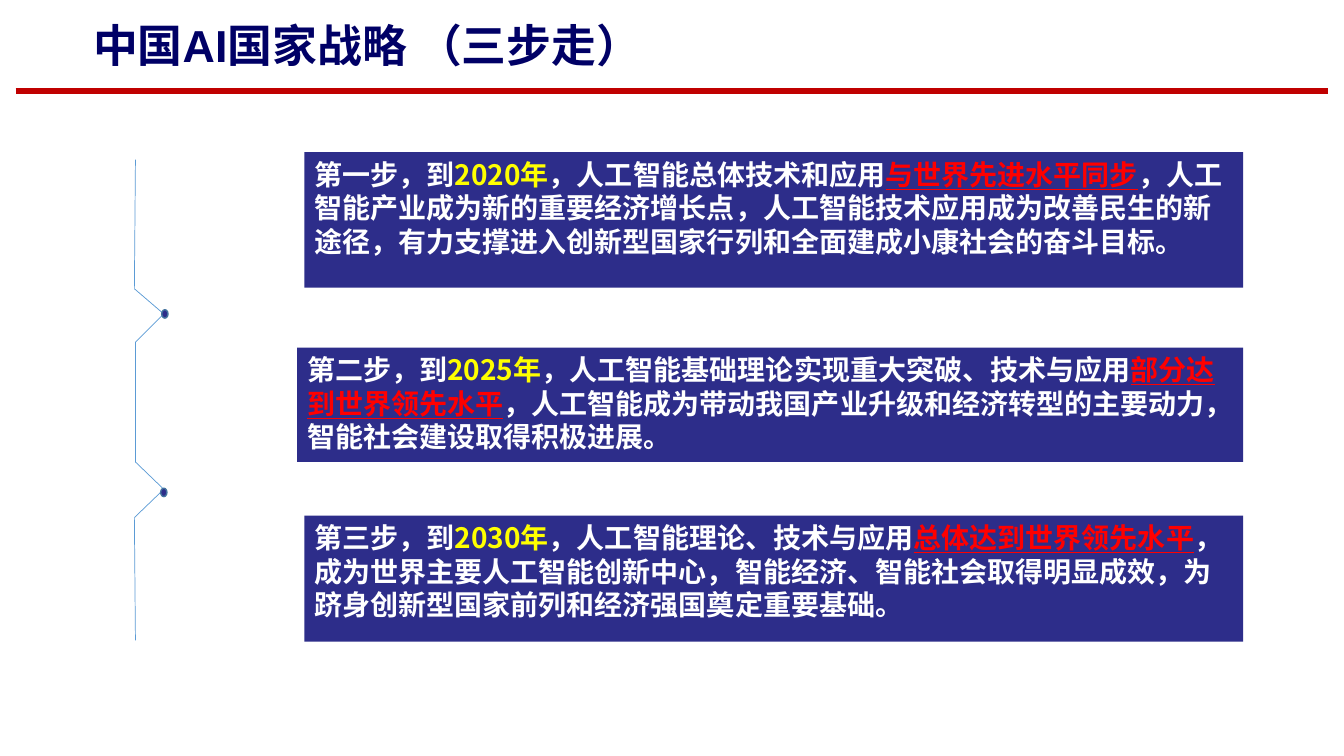
from dataclasses import dataclass
from itertools import pairwise

from lxml.etree import SubElement
from pptx import Presentation
from pptx.dml.color import RGBColor as RGB
from pptx.enum.shapes import MSO_CONNECTOR as Conn, MSO_SHAPE as Shape
from pptx.enum.text import MSO_ANCHOR as Anchor, MSO_AUTO_SIZE as Fit, PP_ALIGN as Align
from pptx.oxml.ns import qn
from pptx.util import Pt


@dataclass(frozen=True)
class Theme:
    navy: RGB = RGB(0x00, 0x00, 0x66)
    panel: RGB = RGB(0x2D, 0x2D, 0x8A)
    rule: RGB = RGB(0xC0, 0x00, 0x00)
    chain: RGB = RGB(0x5B, 0x9B, 0xD5)
    rim: RGB = RGB(0x43, 0x73, 0x9E)
    white: RGB = RGB(0xFF, 0xFF, 0xFF)
    year: RGB = RGB(0xFF, 0xFF, 0x00)
    goal: RGB = RGB(0xFF, 0x00, 0x00)
    latin: str = "Arial"
    han: str = "Noto Sans CJK SC"
    head: int = 32
    body: int = 20
    pitch: int = 24


THEME = Theme()
PX = 9525

STEPS = [
    ((290, 145, 894, 129), "第一步，到", "2020年", "，人工智能总体技术和应用",
     "与世界先进水平同步",
     "，人工智能产业成为新的重要经济增长点，人工智能技术应用成为改善民生的新途径，"
     "有力支撑进入创新型国家行列和全面建成小康社会的奋斗目标。"),
    ((283, 331, 901, 109), "第二步，到", "2025年", "，人工智能基础理论实现重大突破、技术与应用",
     "部分达到世界领先水平",
     "，人工智能成为带动我国产业升级和经济转型的主要动力，智能社会建设取得积极进展。"),
    ((290, 491, 894, 120), "第三步，到", "2030年", "，人工智能理论、技术与应用",
     "总体达到世界领先水平",
     "，成为世界主要人工智能创新中心，智能经济、智能社会取得明显成效，"
     "为跻身创新型国家前列和经济强国奠定重要基础。"),
]
CHAIN = [(129, 152), (128, 275), (156, 299), (129, 326),
         (129, 440), (156, 466), (128, 493), (129, 610)]
DOTS = [(154, 295), (153, 465)]


def px(*nums):
    return [n * PX for n in nums]


def style(run, size, color, name):
    font = run.font
    font.size, font.bold, font.name = Pt(size), True, name
    font.color.rgb = color
    SubElement(run._r.get_or_add_rPr(), qn("a:ea"), typeface=THEME.han)


def add_title(slide, text):
    title = slide.shapes.title
    title.left, title.top, title.width, title.height = px(79, 12, 608, 61)
    frame = title.text_frame
    frame.text = text
    frame.auto_size = Fit.NONE
    frame.vertical_anchor = Anchor.MIDDLE
    para = frame.paragraphs[0]
    para.alignment = Align.LEFT
    style(para.runs[0], THEME.head, THEME.navy, THEME.latin)


def add_line(slide, start, end, color, width):
    line = slide.shapes.add_connector(Conn.STRAIGHT, *px(*start, *end))
    line.line.color.rgb = color
    line.line.width = Pt(width)
    SubElement(line._element.spPr, qn("a:effectLst"))


def add_solid(slide, kind, area):
    shape = slide.shapes.add_shape(kind, *px(*area))
    shape.shadow.inherit = False
    shape.fill.solid()
    shape.fill.fore_color.rgb = THEME.panel
    return shape


def add_step(slide, area, *parts):
    box = add_solid(slide, Shape.RECTANGLE, area)
    box.line.fill.background()
    frame = box.text_frame
    frame.word_wrap = True
    frame.vertical_anchor = Anchor.TOP
    para = frame.paragraphs[0]
    para.alignment = Align.LEFT
    para.line_spacing = Pt(THEME.pitch)
    white = THEME.white
    hues = white, THEME.year, white, THEME.goal, white
    for text, hue in zip(parts, hues):
        run = para.add_run()
        run.text = text
        style(run, THEME.body, hue, THEME.han)
        run.font.underline = hue == THEME.goal


def add_dot(slide, spot):
    dot = add_solid(slide, Shape.OVAL, (*spot, 6, 8))
    dot.line.color.rgb = THEME.rim
    dot.line.width = Pt(1)


def main():
    deck = Presentation()
    deck.slide_width, deck.slide_height = px(1280, 720)
    slide = deck.slides.add_slide(deck.slide_layouts[5])
    add_line(slide, (15, 87), (1265, 87), THEME.rule, 4.5)
    add_title(slide, "中国AI国家战略 （三步走）")
    for step in STEPS:
        add_step(slide, *step)
    for start, end in pairwise(CHAIN):
        add_line(slide, start, end, THEME.chain, 0.5)
    for spot in DOTS:
        add_dot(slide, spot)
    deck.save("out.pptx")


if __name__ == "__main__":
    main()
